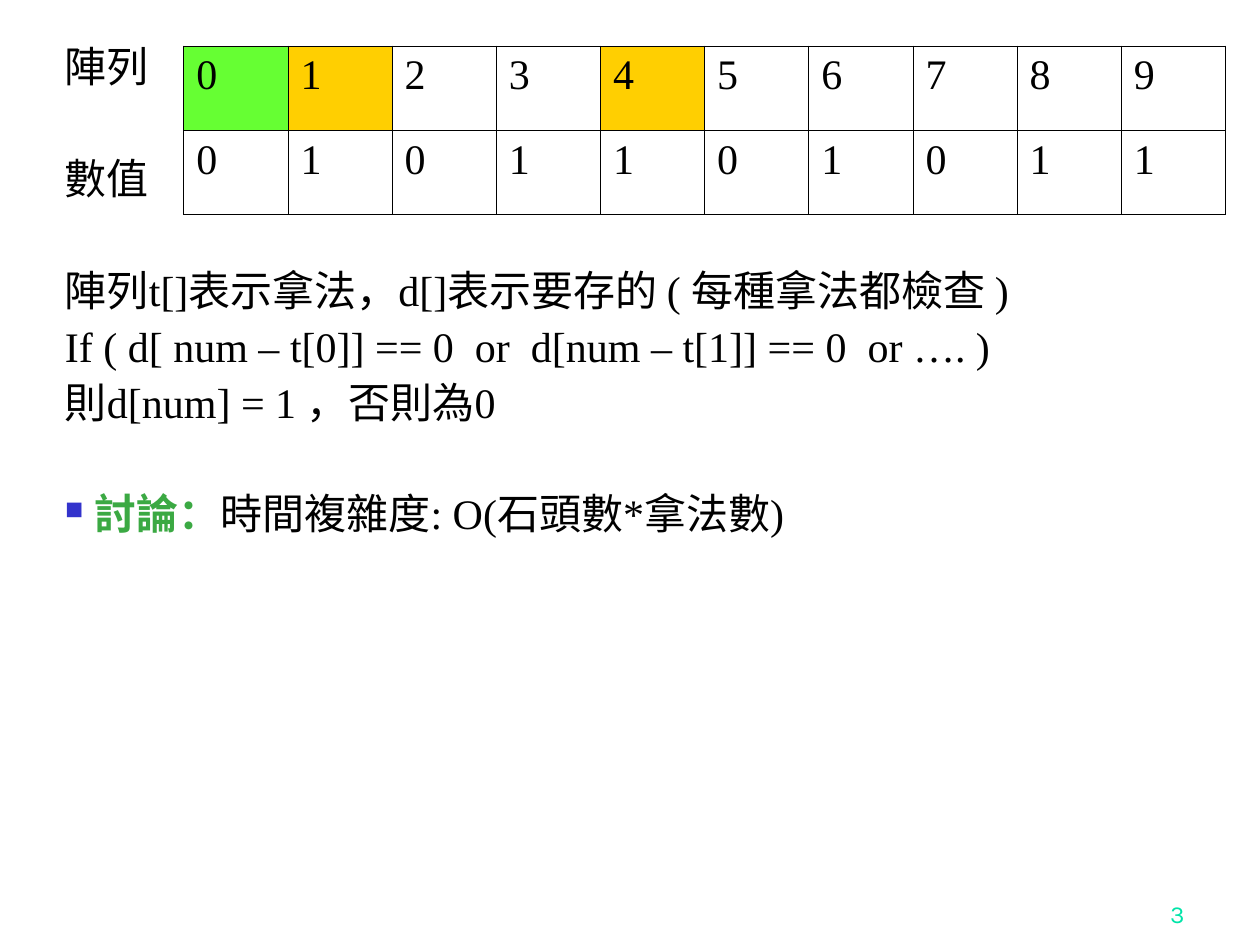
from dataclasses import dataclass

from lxml.etree import SubElement
from pptx import Presentation
from pptx.dml.color import RGBColor
from pptx.enum.text import MSO_ANCHOR, PP_ALIGN
from pptx.oxml.ns import qn
from pptx.util import Pt


@dataclass(frozen=True)
class Theme:
    body_font: str = "Times New Roman"
    number_font: str = "Karla"
    body_size: float = 24
    number_size: float = 14
    ink: str = "000000"
    paper: str = "FFFFFF"
    current: str = "66FF33"
    move: str = "FFCF01"
    heading: str = "3BA943"
    bullet: str = "3333CC"
    number: str = "00E4A8"
    border_width: float = 0.45


THEME = Theme()
LINE_GAP = 6
SECTION_GAP = 38
BULLET_INDENT = 17

STONES = range(10)
STONE_VALUES = [0, 1, 0, 1, 1, 0, 1, 0, 1, 1]
STONE_FILLS = {0: THEME.current, 1: THEME.move, 4: THEME.move}

# Each line: space before it, then its text
EXPLANATION = [
    (0, "陣列"),
    (SECTION_GAP, "數值"),
    (SECTION_GAP, "陣列t[]表示拿法，d[]表示要存的 ( 每種拿法都檢查 )"),
    (LINE_GAP, "If ( d[ num – t[0]] == 0  or  d[num – t[1]] == 0  or …. )"),
    (LINE_GAP, "則d[num] = 1 ，否則為0"),
]


def add_text(paragraph, text, *, font=THEME.body_font, size=THEME.body_size,
             color=THEME.ink, bold=False):
    run = paragraph.add_run()
    run.text = text
    run.font.name = font
    run.font.size = Pt(size)
    run.font.bold = bold
    run.font.color.rgb = RGBColor.from_string(color)


def add_text_frame(slide, left, top, width, height):
    shape = slide.shapes.add_textbox(Pt(left), Pt(top), Pt(width), Pt(height))
    shape.text_frame.word_wrap = True
    return shape.text_frame


def add_bullet(paragraph):
    properties = paragraph._p.get_or_add_pPr()
    properties.set("marL", str(Pt(BULLET_INDENT)))
    properties.set("indent", str(-Pt(BULLET_INDENT)))
    color = SubElement(properties, qn("a:buClr"))
    SubElement(color, qn("a:srgbClr"), val=THEME.bullet)
    SubElement(properties, qn("a:buSzPct"), val="60000")
    SubElement(properties, qn("a:buChar"), char="■")


def add_borders(cell):
    """Draw all four edges; call before the cell fill is set."""
    properties = cell._tc.get_or_add_tcPr()
    for edge in ("a:lnL", "a:lnR", "a:lnT", "a:lnB"):
        line = SubElement(properties, qn(edge), w=str(Pt(THEME.border_width)))
        fill = SubElement(line, qn("a:solidFill"))
        SubElement(fill, qn("a:srgbClr"), val=THEME.ink)


def add_stone_table(slide, left, top, width, height):
    rows = [STONES, STONE_VALUES]
    table = slide.shapes.add_table(len(rows), len(STONES), Pt(left), Pt(top),
                                   Pt(width), Pt(height)).table
    table.first_row = False
    table.horz_banding = False
    for row_index, values in enumerate(rows):
        for column_index, value in enumerate(values):
            cell = table.cell(row_index, column_index)
            add_borders(cell)
            color = THEME.paper
            if row_index == 0:
                color = STONE_FILLS.get(column_index, THEME.paper)
            cell.fill.solid()
            cell.fill.fore_color.rgb = RGBColor.from_string(color)
            add_text(cell.text_frame.paragraphs[0], str(value))


def add_explanation(slide, left, top, width, height):
    frame = add_text_frame(slide, left, top, width, height)
    for index, (gap, text) in enumerate(EXPLANATION):
        paragraph = frame.add_paragraph() if index else frame.paragraphs[0]
        paragraph.space_before = Pt(gap)
        add_text(paragraph, text)

    discussion = frame.add_paragraph()
    add_bullet(discussion)
    discussion.space_before = Pt(SECTION_GAP)
    add_text(discussion, "討論：", color=THEME.heading, bold=True)
    add_text(discussion, "時間複雜度: O(石頭數*拿法數)")

    for paragraph in frame.paragraphs:
        paragraph.line_spacing = 0.9


def add_slide_number(slide, left, top, width, height):
    frame = add_text_frame(slide, left, top, width, height)
    frame.vertical_anchor = MSO_ANCHOR.BOTTOM
    paragraph = frame.paragraphs[0]
    paragraph.alignment = PP_ALIGN.RIGHT
    add_text(paragraph, "3", font=THEME.number_font, size=THEME.number_size,
             color=THEME.number)


def main():
    presentation = Presentation()
    presentation.slide_width = Pt(720)
    presentation.slide_height = Pt(540)
    blank_layout = presentation.slide_layouts[6]
    slide = presentation.slides.add_slide(blank_layout)
    add_slide_number(slide, 534, 498, 150, 36)
    add_stone_table(slide, 105, 26.25, 595.5, 96.5)
    add_explanation(slide, 30, 23, 636, 453.5)
    presentation.save("out.pptx")


if __name__ == "__main__":
    main()
